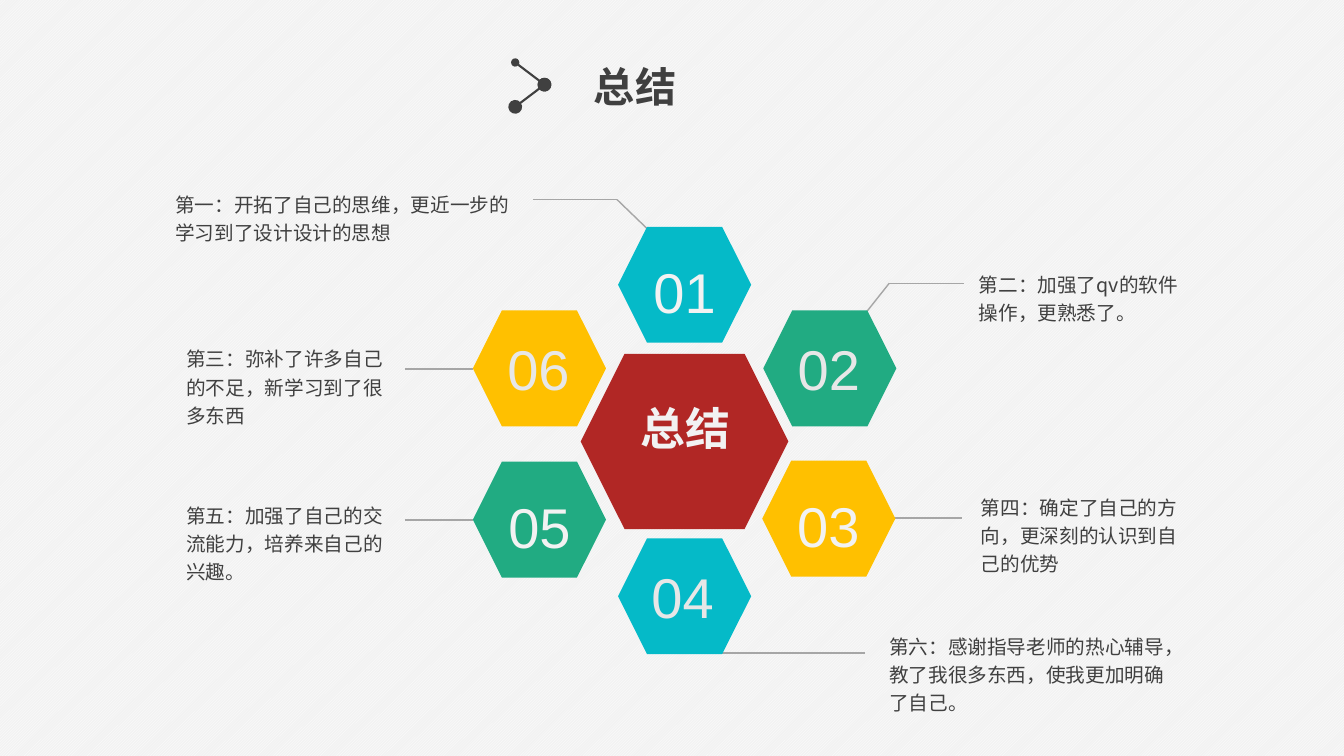
from dataclasses import dataclass
from itertools import pairwise

from lxml import etree
from pptx import Presentation
from pptx import util as u
from pptx.dml.color import RGBColor
from pptx.enum import dml, shapes, text
from pptx.oxml.ns import qn

PX = 9144  # EMU, 100 px to the inch


@dataclass(frozen=True)
class Theme:
    paper: str = "F2F2F2"
    stripe: str = "FFFFFF"
    dark: str = "404040"
    leader: str = "A6A6A6"
    teal: str = "05BAC8"
    green: str = "21AB82"
    yellow: str = "FFC000"
    red: str = "B12725"
    soft: str = "E7E7E7"
    latin: str = "Arial"
    cjk: str = "Noto Sans CJK SC"
    title_size: float = 29.4
    hub_size: float = 32
    number_size: float = 40
    note_size: float = 14


T = Theme()


@dataclass(frozen=True)
class Box:
    x: int
    y: int
    w: int
    h: int


@dataclass(frozen=True)
class Style:
    size: float
    color: str
    font: str = T.cjk
    bold: bool = False
    align: text.PP_ALIGN = text.PP_ALIGN.LEFT
    spacing: float = 1.0
    wrap: bool = True


@dataclass(frozen=True)
class Cell:
    label: str
    x: int
    y: int
    fill: str
    label_box: Box
    style: Style


@dataclass(frozen=True)
class Note:
    words: str
    box: Box
    leader: tuple[tuple[int, int], ...]


CELL_W, CELL_H = 132, 115
CENTER = text.PP_ALIGN.CENTER
TITLE = Style(T.title_size, T.dark, T.latin, bold=True, wrap=False)
HUB = Style(T.hub_size, T.paper, bold=True, align=CENTER)
PLAIN = Style(T.number_size, T.soft, T.latin, align=CENTER)
LOOSE = Style(T.number_size, T.paper, T.latin, align=CENTER, spacing=1.2)
NOTE = Style(T.note_size, T.dark, spacing=1.2)

CELLS = [
    Cell("02", 757, 308, T.green, Box(777, 327, 90, 77), PLAIN),
    Cell("01", 613, 225, T.teal, Box(631, 237, 96, 83), LOOSE),
    Cell("03", 756, 457, T.yellow, Box(771, 469, 101, 83), LOOSE),
    Cell("05", 469, 458, T.green, Box(490, 470, 90, 83), LOOSE),
    Cell("06", 469, 308, T.yellow, Box(489, 327, 90, 77), PLAIN),
    Cell("04", 613, 534, T.teal, Box(632, 553, 90, 77), PLAIN),
]

NOTES = [
    Note("第一：开拓了自己的思维，更近一步的学习到了设计设计的思想",
         Box(164, 182, 360, 66), ((642, 227), (612, 198), (529, 198))),
    Note("第三：弥补了许多自己的不足，新学习到了很多东西",
         Box(175, 335, 218, 95), ((469, 366), (402, 366))),
    Note("第五：加强了自己的交流能力，培养来自己的兴趣。",
         Box(175, 490, 218, 95), ((469, 516), (402, 516))),
    Note("第二：加强了qv的软件操作，更熟悉了。",
         Box(961, 261, 234, 66), ((859, 310), (882, 281), (956, 281))),
    Note("第四：确定了自己的方向，更深刻的认识到自己的优势",
         Box(963, 482, 234, 95), ((954, 514), (887, 514))),
    Note("第六：感谢指导老师的热心辅导，教了我很多东西，使我更加明确了自己。",
         Box(872, 620, 312, 95), ((716, 648), (858, 648))),
]

ICON = ((511, 62), (540, 84), (511, 106))
DOT_SIZES = ("med", "lg", "lg")


def rgb(color: str) -> RGBColor:
    return RGBColor.from_string(color)


def emu(*lengths: int) -> list[int]:
    return [n * PX for n in lengths]


def set_all(obj, values: dict) -> None:
    for name, value in values.items():
        setattr(obj, name, value)


def write(sp, words: str, style: Style) -> None:
    tf = sp.text_frame
    set_all(tf, {
        "word_wrap": style.wrap,
        "auto_size": text.MSO_AUTO_SIZE.NONE,
        "vertical_anchor": text.MSO_ANCHOR.TOP,
        "margin_left": 10 * PX,
        "margin_right": 10 * PX,
        "margin_top": 5 * PX,
        "margin_bottom": 5 * PX,
    })
    p = tf.paragraphs[0]
    set_all(p, {"alignment": style.align, "line_spacing": style.spacing})
    r = p.add_run()
    r.text = words
    set_all(r.font, {"size": u.Pt(style.size), "bold": style.bold, "name": style.font})
    r.font.color.rgb = rgb(style.color)
    etree.SubElement(r._r.get_or_add_rPr(), qn("a:ea"), typeface=T.cjk)


def add_text(s, words: str, box: Box, style: Style) -> None:
    write(s.shapes.add_textbox(*emu(box.x, box.y, box.w, box.h)), words, style)


def add_hexagon(s, box: Box, color: str) -> None:
    sp = s.shapes.add_shape(shapes.MSO_SHAPE.HEXAGON, *emu(box.x, box.y, box.w, box.h))
    sp.shadow.inherit = False
    sp.fill.solid()
    sp.fill.fore_color.rgb = rgb(color)
    sp.line.fill.background()


def add_path(s, points, color: str, width: float, dots=()) -> None:
    """Join the points with straight lines, with a dot of the given size on each."""
    for i, (start, end) in enumerate(pairwise(points)):
        line = s.shapes.add_connector(shapes.MSO_CONNECTOR.STRAIGHT, *emu(*start, *end))
        line.line.color.rgb = rgb(color)
        line.line.width = u.Pt(width)
        for tag, size in zip(("a:headEnd", "a:tailEnd"), dots[i:i + 2]):
            etree.SubElement(line.line._get_or_add_ln(), qn(tag),
                             type="oval", w=size, len=size)
        etree.SubElement(line._element.spPr, qn("a:effectLst"))


def main() -> None:
    prs = Presentation()
    set_all(prs, {"slide_width": u.Inches(13.33), "slide_height": u.Inches(7.5)})
    s = prs.slides.add_slide(prs.slide_layouts.get_by_name("Title Only"))
    fill = s.background.fill
    fill.patterned()
    fill.pattern = dml.MSO_PATTERN.LIGHT_UPWARD_DIAGONAL
    fill.fore_color.rgb = rgb(T.stripe)
    fill.back_color.rgb = rgb(T.paper)

    title = s.shapes.title
    set_all(title, dict(zip(("left", "top", "width", "height"), emu(579, 56, 102, 59))))
    write(title, "总结", TITLE)
    add_path(s, ICON, T.dark, 1.5, DOT_SIZES)

    for note in NOTES:
        add_path(s, note.leader, T.leader, 1)
        add_text(s, note.words, note.box, NOTE)
    for cell in CELLS:
        add_hexagon(s, Box(cell.x, cell.y, CELL_W, CELL_H), cell.fill)
        add_text(s, cell.label, cell.label_box, cell.style)
    add_hexagon(s, Box(576, 351, 206, 174), T.red)
    add_text(s, "总结", Box(616, 393, 127, 64), HUB)
    prs.save("out.pptx")


if __name__ == "__main__":
    main()
